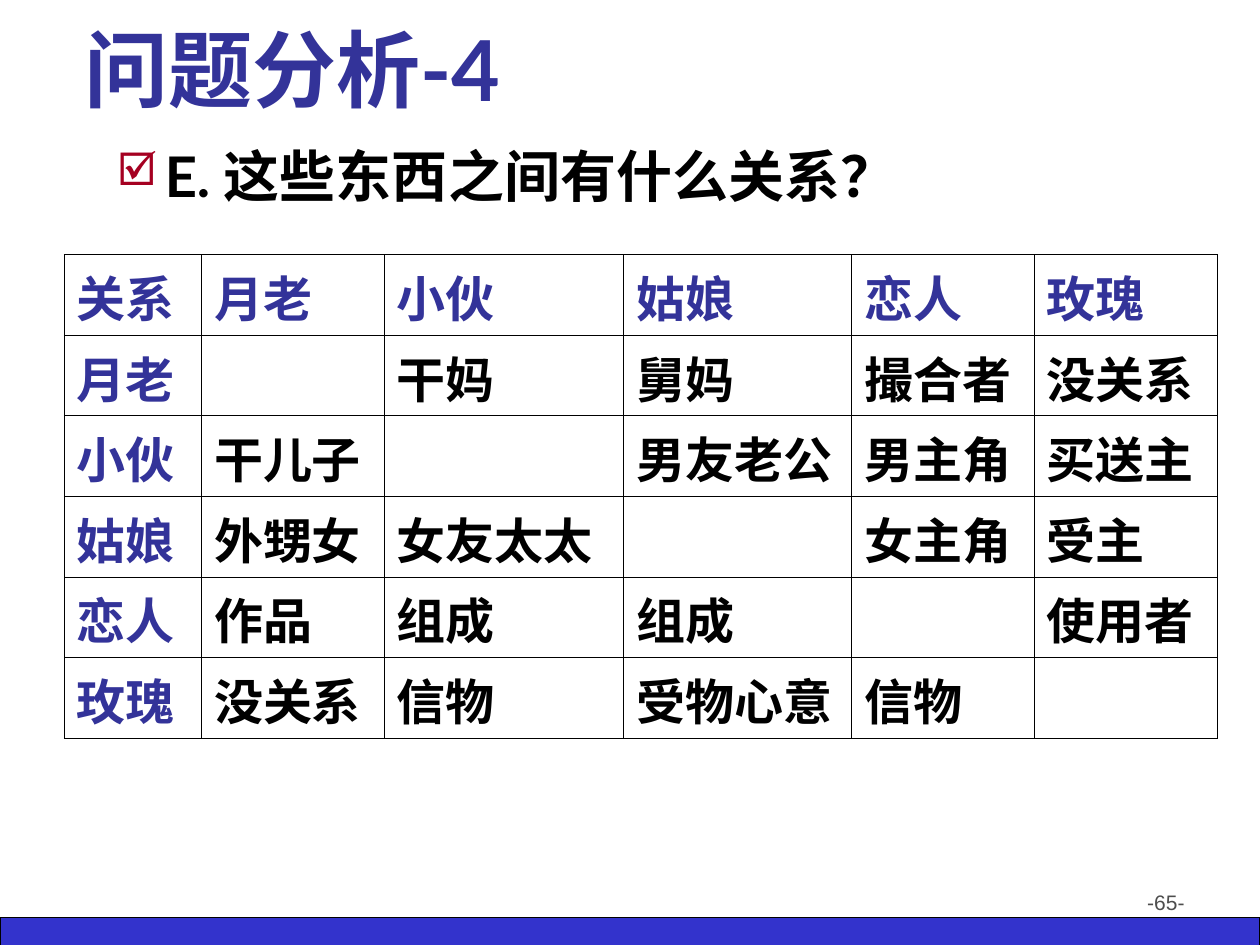
from dataclasses import dataclass

from lxml.etree import SubElement
from pptx import Presentation
from pptx.dml.color import RGBColor
from pptx.enum.shapes import MSO_SHAPE
from pptx.enum.text import MSO_ANCHOR, PP_ALIGN
from pptx.oxml.ns import qn
from pptx.util import Inches, Pt

TITLE = "问题分析-4"
QUESTION = "E. 这些东西之间有什么关系？"
PAGE_NUMBER = "-65-"
ROLES = ["月老", "小伙", "姑娘", "恋人", "玫瑰"]
# Each row says what its role is to the role of each column.
RELATIONS = [
    ["", "干妈", "舅妈", "撮合者", "没关系"],
    ["干儿子", "", "男友老公", "男主角", "买送主"],
    ["外甥女", "女友太太", "", "女主角", "受主"],
    ["作品", "组成", "组成", "", "使用者"],
    ["没关系", "信物", "受物心意", "信物", ""],
]
COLUMN_WIDTHS = [1.09, 1.45, 1.9, 1.81, 1.45, 1.45]
ROW_HEIGHT = 0.64
WIDTH, HEIGHT = 10, 7.5


@dataclass(frozen=True)
class Theme:
    font: str = "Lato"
    number_font: str = "Arial"
    heading: str = "333399"
    ink: str = "000000"
    check: str = "A50021"
    number: str = "4D4D4D"
    bar: str = "3333CC"
    title_size: int = 48
    question_size: int = 32
    cell_size: int = 28
    number_size: int = 12


THEME = Theme()


def style(para, size, color, font=THEME.font, bold=True):
    for span in para.runs:
        span.font.name = font
        span.font.size = Pt(size)
        span.font.bold = bold
        span.font.color.rgb = RGBColor.from_string(color)


def add_text(page, text, left, top, width, height):
    box = page.shapes.add_textbox(*map(Inches, (left, top, width, height)))
    box.text_frame.word_wrap = True
    box.text_frame.text = text
    return box.text_frame


def add_check_bullet(para):
    properties = para._p.get_or_add_pPr()
    properties.set("marL", str(Inches(0.38)))
    properties.set("indent", str(-Inches(0.38)))
    color = SubElement(properties, qn("a:buClr"))
    SubElement(color, qn("a:srgbClr"), val=THEME.check)
    SubElement(properties, qn("a:buSzPct"), val="80000")
    SubElement(properties, qn("a:buChar"), char="☑")


def add_borders(cell):
    """Draw the four edges; call before the fill, which must follow them."""
    properties = cell._tc.get_or_add_tcPr()
    for side in ("lnL", "lnR", "lnT", "lnB"):
        line = SubElement(properties, qn(f"a:{side}"), w=str(Pt(0.45)))
        fill = SubElement(line, qn("a:solidFill"))
        SubElement(fill, qn("a:srgbClr"), val=THEME.ink)


def add_relation_table(page):
    rows = [["关系", *ROLES]] + [
        [role, *relations] for role, relations in zip(ROLES, RELATIONS)
    ]
    table = page.shapes.add_table(
        len(rows), len(COLUMN_WIDTHS), Inches(0.51), Inches(2.02),
        Inches(sum(COLUMN_WIDTHS)), Inches(ROW_HEIGHT * len(rows)),
    ).table
    table.first_row = table.horz_banding = False
    for column, width in zip(table.columns, COLUMN_WIDTHS):
        column.width = Inches(width)
    for i, row in enumerate(rows):
        for j, text in enumerate(row):
            cell = table.cell(i, j)
            add_borders(cell)
            cell.fill.background()
            cell.text_frame.text = text
            color = THEME.ink if i and j else THEME.heading
            style(cell.text_frame.paragraphs[0], THEME.cell_size, color)


def main():
    deck = Presentation()
    deck.slide_width, deck.slide_height = Inches(WIDTH), Inches(HEIGHT)
    page = deck.slides.add_slide(deck.slide_layouts[6])

    bar = page.shapes.add_shape(
        MSO_SHAPE.RECTANGLE, 0, Inches(7.28), Inches(WIDTH), Inches(0.25))
    bar.shadow.inherit = False
    bar.fill.solid()
    bar.fill.fore_color.rgb = RGBColor.from_string(THEME.bar)
    bar.line.color.rgb = RGBColor.from_string(THEME.ink)
    bar.line.width = Pt(0.75)

    number = add_text(page, PAGE_NUMBER, 7.17, 7.01, 2.33, 0.52).paragraphs[0]
    number.alignment = PP_ALIGN.RIGHT
    style(number, THEME.number_size, THEME.number, THEME.number_font, False)

    title = add_text(page, TITLE, 0.57, 0.28, 8.68, 0.71)
    title.vertical_anchor = MSO_ANCHOR.BOTTOM
    style(title.paragraphs[0], THEME.title_size, THEME.heading)

    question = add_text(page, QUESTION, 0.83, 1.07, 8.66, 5.81).paragraphs[0]
    add_check_bullet(question)
    style(question, THEME.question_size, THEME.ink)

    add_relation_table(page)
    deck.save("out.pptx")


if __name__ == "__main__":
    main()
